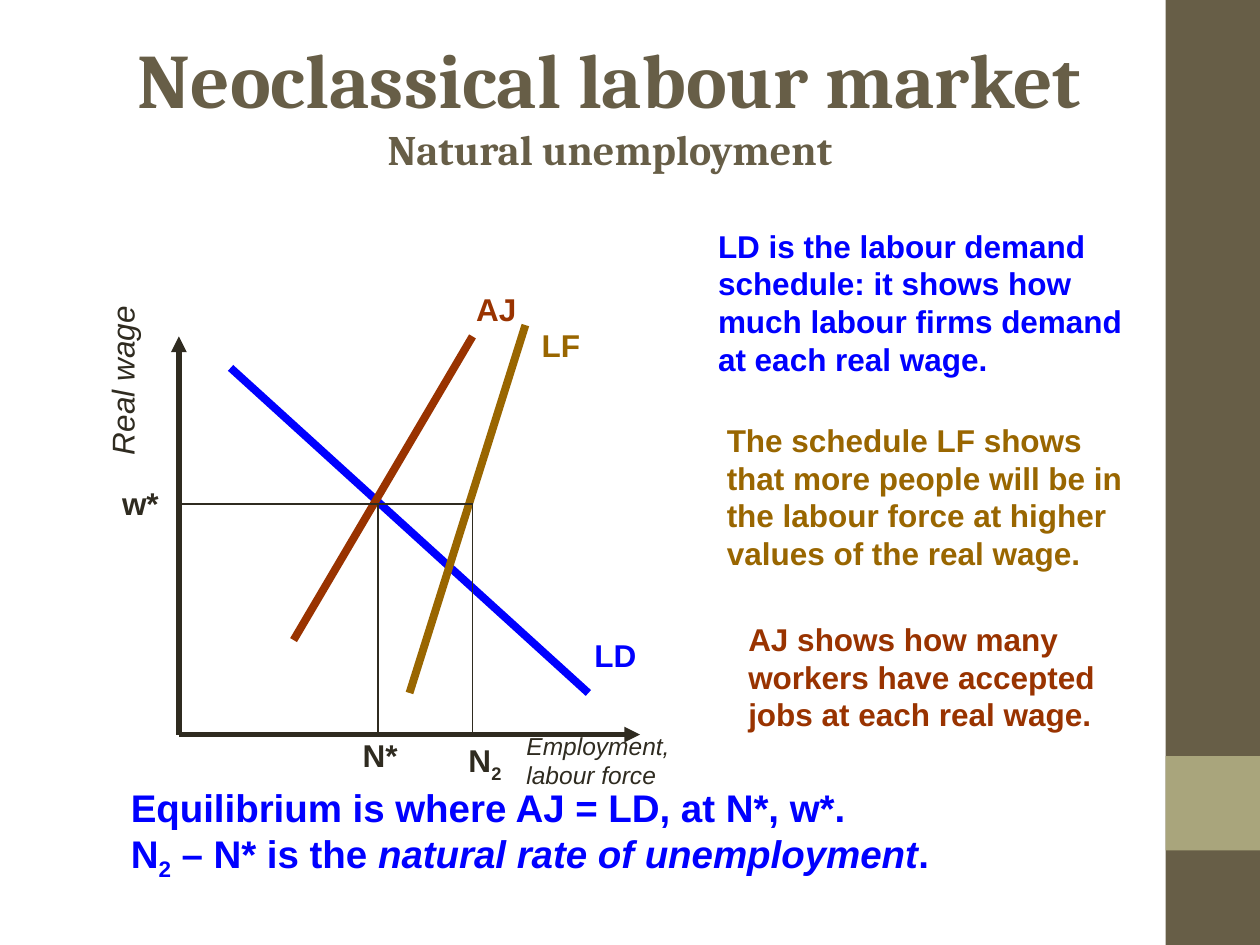
from pptx import Presentation
from pptx.dml.color import RGBColor
from pptx.enum.shapes import MSO_CONNECTOR, MSO_SHAPE
from pptx.enum.text import MSO_ANCHOR, MSO_AUTO_SIZE, PP_ALIGN
from pptx.oxml.ns import qn
from pptx.util import Inches, Pt
from lxml import etree

STRAIGHT = MSO_CONNECTOR.STRAIGHT
RECTANGLE = MSO_SHAPE.RECTANGLE
MIDDLE = MSO_ANCHOR.MIDDLE
NO_AUTOFIT = MSO_AUTO_SIZE.NONE
FIT_SHAPE = MSO_AUTO_SIZE.SHAPE_TO_FIT_TEXT
CENTER = PP_ALIGN.CENTER

COLORS = {
    "ink": "2F2B20",
    "title": "675E47",
    "accent": "A9A57C",
    "demand": "0000FF",
    "force": "996600",
    "accepted": "993300",
}


class LabourMarketSlide:
    """Draws styled elements on the current slide."""

    heading_font = "Cambria"
    body_font = "Arial"

    def __init__(self, slide):
        self.slide = slide

    def color(self, name):
        return RGBColor.from_string(COLORS[name])

    def format_font(self, font, name, size, color, bold=False, italic=False):
        font.name = name
        font.size = Pt(size)
        font.color.rgb = self.color(color)
        font.bold = bold
        font.italic = italic

    def band(self, top, height, color):
        shape = self.slide.shapes.add_shape(
            RECTANGLE, Inches(9.25), Inches(top), Inches(0.75), Inches(height))
        shape.shadow.inherit = False
        shape.fill.solid()
        shape.fill.fore_color.rgb = self.color(color)
        shape.line.fill.background()

    def title(self, lines, sizes, left, top, width, height):
        shape = self.slide.shapes.title
        shape.left, shape.top = Inches(left), Inches(top)
        shape.width, shape.height = Inches(width), Inches(height)
        text_frame = shape.text_frame
        text_frame.text = "\n".join(lines)
        text_frame.auto_size = NO_AUTOFIT
        text_frame.vertical_anchor = MIDDLE
        for paragraph, size in zip(text_frame.paragraphs, sizes):
            paragraph.alignment = CENTER
            for run in paragraph.runs:
                self.format_font(run.font, self.heading_font, size, "title", bold=True)

    def line(self, start, end, color="ink", width=0.75, arrow=False):
        connector = self.slide.shapes.add_connector(
            STRAIGHT, *(Inches(value) for value in (*start, *end)))
        connector.line.color.rgb = self.color(color)
        connector.line.width = Pt(width)
        properties = connector._element.spPr
        if arrow:
            outline = properties.find(qn("a:ln"))
            etree.SubElement(outline, qn("a:tailEnd"), type="triangle")
        etree.SubElement(properties, qn("a:effectLst"))

    def text(self, lines, box, color="ink", size=18, bold=True, italic=False, rotation=0):
        shape = self.slide.shapes.add_textbox(*(Inches(value) for value in box))
        shape.rotation = rotation
        text_frame = shape.text_frame
        text_frame.word_wrap = False
        text_frame.auto_size = FIT_SHAPE
        text_frame.text = "\n".join(lines)
        for paragraph in text_frame.paragraphs:
            for run in paragraph.runs:
                self.format_font(run.font, self.body_font, size, color, bold, italic)
        return text_frame

    def add_runs(self, paragraph, pieces, color="ink", size=18):
        for content, style in pieces:
            run = paragraph.add_run()
            run.text = content
            self.format_font(run.font, self.body_font, size, color,
                             bold=True, italic=style == "italic")
            if style == "subscript":
                run._r.get_or_add_rPr().set("baseline", "-25000")


def main():
    presentation = Presentation()
    presentation.slide_width, presentation.slide_height = Inches(10), Inches(7.5)
    page = LabourMarketSlide(presentation.slides.add_slide(presentation.slide_layouts[5]))

    page.band(0, 7.5, "title")
    page.band(6, 0.75, "accent")
    page.title(["Neoclassical labour market", "Natural unemployment"], [44, 24],
               0.59, 0.21, 8.5, 1.21)

    origin = (1.42, 5.83)
    for axis_end in ((5.08, 5.83), (1.42, 2.67)):
        page.line(origin, axis_end, width=3, arrow=True)
    page.text(["Employment,", "labour force"], (4.08, 5.75, 1.34, 0.57),
              size=14, bold=False, italic=True)
    page.text(["Real wage"], (0.28, 2.82, 1.38, 0.4),
              bold=False, italic=True, rotation=270)

    schedules = [
        ("LD", "demand", (1.83, 2.92), (4.67, 5.5), (4.62, 5, 0.53, 0.4),
         ["LD is the labour demand", "schedule: it shows how",
          "much labour firms demand", "at each real wage."], (5.6, 1.75, 3.41, 1.3)),
        ("LF", "force", (3.25, 5.5), (4.17, 2.58), (4.2, 2.54, 0.51, 0.4),
         ["The schedule LF shows", "that more people will be in",
          "the labour force at higher", "values of the real wage."], (5.67, 3.29, 3.34, 1.3)),
        ("AJ", "accepted", (2.33, 5.08), (3.75, 2.67), (3.68, 2.25, 0.52, 0.4),
         ["AJ shows how many", "workers have accepted",
          "jobs at each real wage."], (5.84, 4.87, 3.02, 1)),
    ]
    for label, color, start, end, label_box, note, note_box in schedules:
        page.line(start, end, color, 4.5)
        page.text([label], label_box, color)
        page.text(note, note_box, color)

    wage, equilibrium, labour_force = 4, 3, 3.75
    page.line((origin[0], wage), (labour_force, wage))
    for employment in (equilibrium, labour_force):
        page.line((employment, wage), (employment, origin[1]))
    page.text(["N*"], (2.78, 5.79, 0.48, 0.4))
    page.text(["w*"], (0.87, 3.79, 0.49, 0.4))

    n2 = [("N", "plain"), ("2", "subscript")]
    label_frame = page.text([], (3.62, 5.83, 0.46, 0.44))
    page.add_runs(label_frame.paragraphs[0], n2)

    conclusion = page.text(["Equilibrium is where AJ = LD, at N*, w*."],
                           (0.94, 6.17, 6.54, 0.89), "demand", 22)
    page.add_runs(conclusion.add_paragraph(), n2 + [
        (" – N* is the ", "plain"),
        ("natural rate of unemployment", "italic"),
        (".", "plain"),
    ], "demand", 22)

    presentation.save("out.pptx")


if __name__ == "__main__":
    main()
